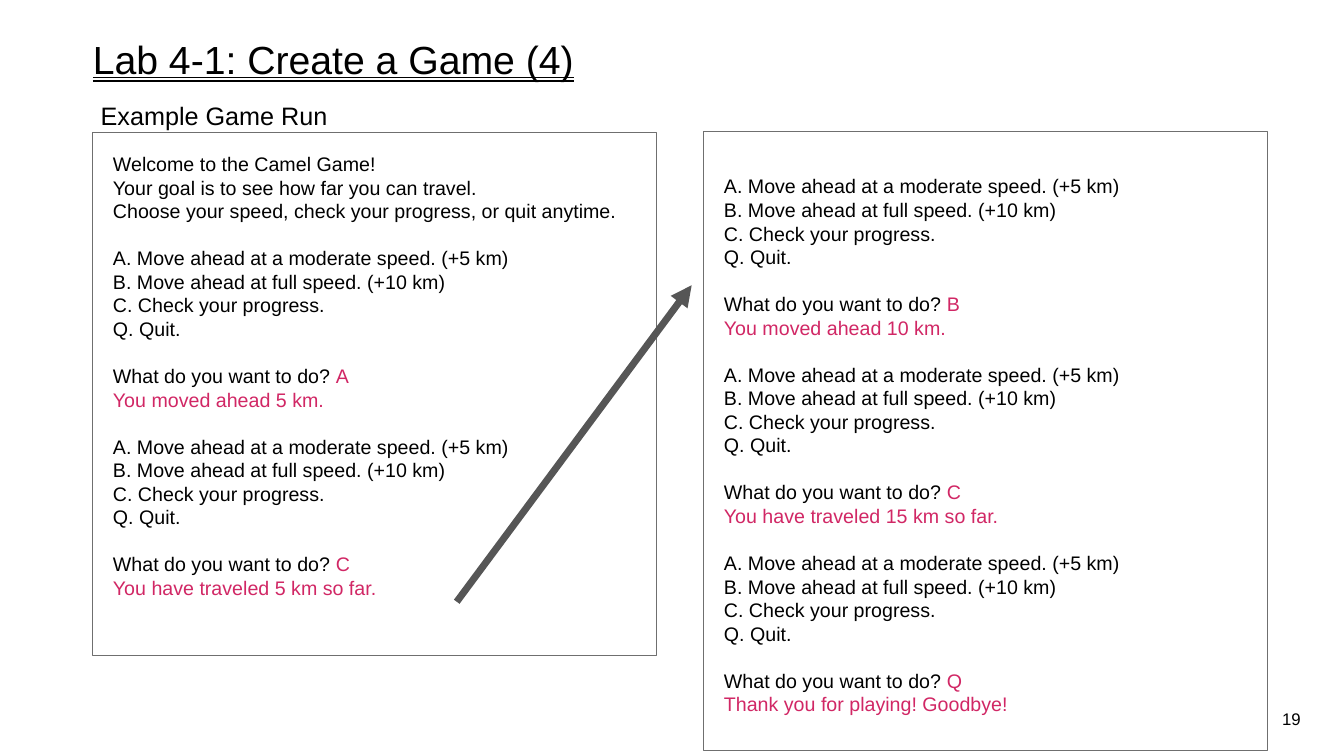
from dataclasses import dataclass

from lxml.etree import SubElement
from pptx import Presentation
from pptx.dml.color import RGBColor
from pptx.enum.shapes import MSO_CONNECTOR, MSO_SHAPE
from pptx.enum.text import MSO_ANCHOR, MSO_AUTO_SIZE, MSO_UNDERLINE, PP_ALIGN
from pptx.oxml.ns import qn
from pptx.util import Inches, Pt


@dataclass(frozen=True)
class Theme:
    font: str = "Arial"
    ink: RGBColor = RGBColor.from_string("000000")
    accent: RGBColor = RGBColor.from_string("D12765")
    border: RGBColor = RGBColor.from_string("6F6F6F")
    arrow: RGBColor = RGBColor.from_string("565656")
    title: int = 28
    subtitle: int = 18
    body: int = 14
    footer: int = 12
    body_pitch: float = 16.8
    border_width: float = 0.75
    arrow_width: float = 5


WELCOME = [
    "Welcome to the Camel Game!",
    "Your goal is to see how far you can travel.",
    "Choose your speed, check your progress, or quit anytime.",
]
MENU = [
    "A. Move ahead at a moderate speed. (+5 km)",
    "B. Move ahead at full speed. (+10 km)",
    "C. Check your progress.",
    "Q. Quit.",
]
PROMPT = "What do you want to do? "
FIRST_TURNS = [
    ("A", "You moved ahead 5 km."),
    ("C", "You have traveled 5 km so far."),
]
LATER_TURNS = [
    ("B", "You moved ahead 10 km."),
    ("C", "You have traveled 15 km so far."),
    ("Q", "Thank you for playing! Goodbye!"),
]


class SlideBuilder:
    def __init__(self, page, theme):
        self.page = page
        self.theme = theme

    def add_span(self, para, text, size, color=None):
        span = para.add_run()
        span.text = text
        span.font.name = self.theme.font
        span.font.size = Pt(size)
        span.font.color.rgb = color or self.theme.ink
        return span

    def add_title(self, text, left, top, width, height):
        title = self.page.shapes.title
        title.left, title.top = Inches(left), Inches(top)
        title.width, title.height = Inches(width), Inches(height)
        frame = title.text_frame
        frame.auto_size = MSO_AUTO_SIZE.NONE
        frame.word_wrap = True
        frame.vertical_anchor = MSO_ANCHOR.TOP
        frame.margin_left = frame.margin_right = Inches(0)
        frame.margin_top = frame.margin_bottom = Inches(0)
        para = frame.paragraphs[0]
        para.alignment = PP_ALIGN.LEFT
        para.line_spacing = 0.9
        span = self.add_span(para, text, self.theme.title)
        span.font.underline = MSO_UNDERLINE.DOUBLE_LINE

    def add_label(self, text, left, top, width, height, size, alignment=PP_ALIGN.LEFT):
        box = self.page.shapes.add_textbox(
            Inches(left), Inches(top), Inches(width), Inches(height))
        box.text_frame.word_wrap = True
        para = box.text_frame.paragraphs[0]
        para.alignment = alignment
        self.add_span(para, text, size)

    def add_transcript(self, blocks, left, top, width, height, top_margin):
        theme = self.theme
        box = self.page.shapes.add_shape(
            MSO_SHAPE.RECTANGLE, Inches(left), Inches(top), Inches(width), Inches(height))
        box.shadow.inherit = False
        box.fill.background()
        box.line.color.rgb = theme.border
        box.line.width = Pt(theme.border_width)
        frame = box.text_frame
        frame.word_wrap = True
        frame.vertical_anchor = MSO_ANCHOR.TOP
        frame.margin_left = frame.margin_right = Inches(0.2)
        frame.margin_top, frame.margin_bottom = Inches(top_margin), Inches(0)
        para = frame.paragraphs[0]
        for block_index, block in enumerate(blocks):
            for line_index, line in enumerate(block):
                if block_index or line_index:
                    para = frame.add_paragraph()
                para.alignment = PP_ALIGN.LEFT
                para.line_spacing = Pt(theme.body_pitch)
                if block_index and not line_index:
                    para.space_before = Pt(theme.body_pitch)
                for text, color in line:
                    self.add_span(para, text, theme.body, color)

    def add_arrow(self, start, end):
        arrow = self.page.shapes.add_connector(
            MSO_CONNECTOR.STRAIGHT, *map(Inches, start + end))
        arrow.line.color.rgb = self.theme.arrow
        arrow.line.width = Pt(self.theme.arrow_width)
        SubElement(arrow.line._get_or_add_ln(), qn("a:tailEnd"), type="triangle")
        SubElement(arrow._element.spPr, qn("a:effectLst"))


def plain_block(lines, theme):
    return [[(line, theme.ink)] for line in lines]


def turn_blocks(turns, theme):
    blocks = []
    for choice, reply in turns:
        blocks.append(plain_block(MENU, theme))
        blocks.append([
            [(PROMPT, theme.ink), (choice, theme.accent)],
            [(reply, theme.accent)],
        ])
    return blocks


def main():
    deck = Presentation()
    deck.slide_width, deck.slide_height = Inches(13.33), Inches(7.5)
    theme = Theme()
    builder = SlideBuilder(deck.slides.add_slide(deck.slide_layouts[5]), theme)

    opening = [plain_block(WELCOME, theme)] + turn_blocks(FIRST_TURNS, theme)
    builder.add_transcript(opening, 0.92, 1.31, 5.59, 5.19, 0.2)
    builder.add_transcript(turn_blocks(LATER_TURNS, theme), 6.98, 1.3, 5.59, 6.15, 0.43)
    builder.add_title("Lab 4-1: Create a Game (4)", 0.92, 0.4, 11.5, 0.78)
    builder.add_label("19", 10.33, 6.98, 2.67, 0.24, theme.footer, PP_ALIGN.RIGHT)
    builder.add_arrow((4.53, 5.97), (6.86, 2.83))
    builder.add_label("Example Game Run", 0.9, 0.95, 6.83, 0.4, theme.subtitle)
    deck.save("out.pptx")


if __name__ == "__main__":
    main()
